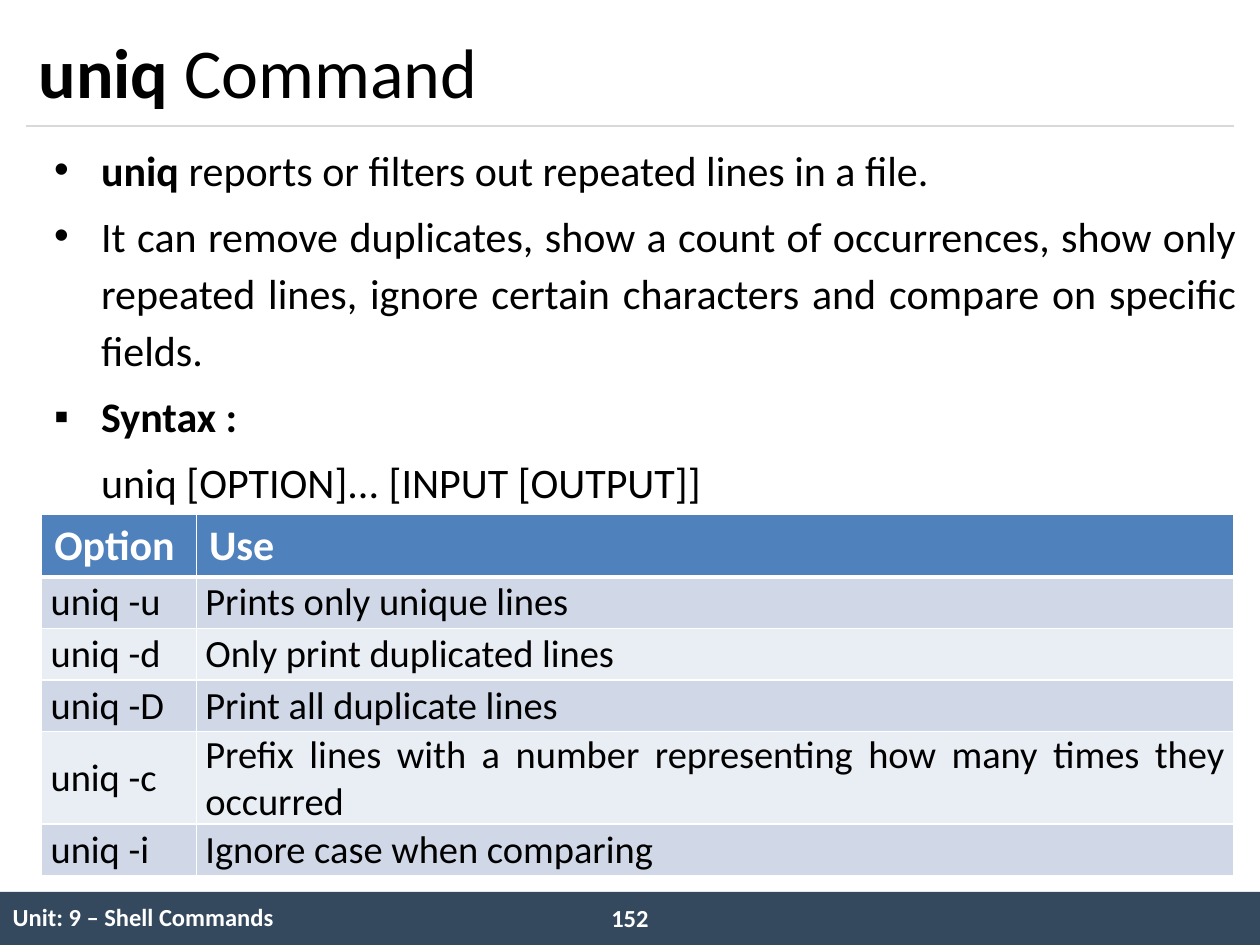
from lxml import etree
from pptx import Presentation
from pptx.dml.color import RGBColor
from pptx.enum.shapes import MSO_CONNECTOR, MSO_SHAPE
from pptx.enum.text import MSO_ANCHOR as ANCHOR, PP_ALIGN as ALIGN
from pptx.oxml.ns import qn
from pptx.util import Cm, Pt

WHITE = RGBColor(0xFF, 0xFF, 0xFF)
BLACK = RGBColor(0x00, 0x00, 0x00)
NAVY = RGBColor(0x34, 0x49, 0x5E)
RULE = RGBColor(0xD9, 0xD9, 0xD9)
HEADER = RGBColor(0x4F, 0x81, 0xBD)
BANDS = RGBColor(0xD0, 0xD8, 0xE8), RGBColor(0xE9, 0xED, 0xF4)

FONT = "Calibri"
INDENT = Cm(0.95)

BODY = [  # bullet, runs as (text, bold)
    ("•", [("uniq", True), (" reports or filters out repeated lines in a file.", False)]),
    ("•", [("It can remove duplicates, show a count of occurrences, show only "
            "repeated lines, ignore certain characters and compare on specific "
            "fields.", False)]),
    ("▪", [("Syntax :", True)]),
    (None, [("uniq [OPTION]... [INPUT [OUTPUT]]", False)]),
]

OPTIONS = [
    ("Option", "Use"),
    ("uniq -u", "Prints only unique lines"),
    ("uniq -d", "Only print duplicated lines"),
    ("uniq -D", "Print all duplicate lines"),
    ("uniq -c", "Prefix lines with a number representing how many times they occurred"),
    ("uniq -i", "Ignore case when comparing"),
]
ROW_HEIGHTS = [1.27, 1.04, 1.04, 1.04, 1.85, 1.04]


def write(p, runs, size=24, color=BLACK, align=ALIGN.LEFT):
    """Fill a paragraph with (text, bold) runs."""
    p.alignment = align
    for text, bold in runs:
        r = p.add_run()
        r.text = text
        r.font.name, r.font.size, r.font.bold = FONT, Pt(size), bold
        r.font.color.rgb = color


def add_textbox(s, x, y, w, h, anchor=ANCHOR.TOP):
    tf = s.shapes.add_textbox(Cm(x), Cm(y), Cm(w), Cm(h)).text_frame
    tf.word_wrap = True
    tf.vertical_anchor = anchor
    return tf


def set_bullet(p, char):
    pPr = p._p.get_or_add_pPr()
    pPr.set("marL", str(INDENT))
    pPr.set("indent", str(-INDENT if char else 0))
    if char:
        etree.SubElement(pPr, qn("a:buFont"), typeface="Arial")
        etree.SubElement(pPr, qn("a:buChar"), char=char)
    else:
        etree.SubElement(pPr, qn("a:buNone"))


def set_borders(cell, color=None, bottom=1):
    """Draw all four cell borders, or hide them when there is no colour."""
    tcPr = cell._tc.get_or_add_tcPr()
    for side in "LRTB":
        width = Pt(bottom if side == "B" else 1)
        ln = etree.SubElement(tcPr, qn("a:ln" + side), w=str(width))
        if color is None:
            etree.SubElement(ln, qn("a:noFill"))
        else:
            fill = etree.SubElement(ln, qn("a:solidFill"))
            etree.SubElement(fill, qn("a:srgbClr"), val=str(color))


def add_grid(s, x, y, widths, heights):
    table = s.shapes.add_table(len(heights), len(widths), Cm(x), Cm(y),
                               Cm(sum(widths)), Cm(sum(heights))).table
    table.first_row = table.horz_banding = False
    for column, width in zip(table.columns, widths):
        column.width = Cm(width)
    for row, height in zip(table.rows, heights):
        row.height = Cm(height)
    return table


def footer(s, x, y, w, h):
    # Band
    bar = s.shapes.add_shape(MSO_SHAPE.RECTANGLE, Cm(x), Cm(y), Cm(w), Cm(h))
    bar.shadow.inherit = False
    bar.fill.solid()
    bar.fill.fore_color.rgb = NAVY
    bar.line.fill.background()

    # Unit name
    table = add_grid(s, x, y, [12.9, 1.7, w - 14.6], [h])
    for cell in table.iter_cells():
        set_borders(cell)
        cell.fill.background()
        cell.vertical_anchor = ANCHOR.MIDDLE
    write(table.cell(0, 0).text_frame.paragraphs[0],
          [("Unit: 9 – Shell Commands", True)], size=14, color=WHITE)

    # Page number
    number_w = 1.48
    tf = add_textbox(s, x + (w - number_w) / 2, y + 0.1, number_w, 0.86)
    write(tf.paragraphs[0], [("152", True)], size=14, color=WHITE, align=ALIGN.CENTER)


def title(s, x, y, w, h):
    # Rule under the heading
    line = s.shapes.add_connector(MSO_CONNECTOR.STRAIGHT,
                                  Cm(x), Cm(y + h), Cm(x + w), Cm(y + h))
    line.line.color.rgb = RULE
    line.line.width = Pt(0.75)
    etree.SubElement(line._element.spPr, qn("a:effectLst"))

    tf = add_textbox(s, x, y, w, h, anchor=ANCHOR.MIDDLE)
    write(tf.paragraphs[0], [("uniq ", True), ("Command", False)], size=40)


def body(s, x, y, w, h):
    tf = add_textbox(s, x, y, w, h)
    for i, (bullet, runs) in enumerate(BODY):
        p = tf.add_paragraph() if i else tf.paragraphs[0]
        p.line_spacing = 1.14
        p.space_before = Pt(4.8 if i else 0)
        set_bullet(p, bullet)
        write(p, runs, align=ALIGN.JUSTIFY)


def option_table(s, x, y, w):
    option_w = 3.12
    table = add_grid(s, x, y, [option_w, w - option_w], ROW_HEIGHTS)
    table.first_row = True
    for i, row in enumerate(OPTIONS):
        head = i == 0
        for j, text in enumerate(row):
            cell = table.cell(i, j)
            set_borders(cell, WHITE, bottom=3 if head else 1)
            cell.fill.solid()
            cell.fill.fore_color.rgb = HEADER if head else BANDS[(i - 1) % 2]
            cell.vertical_anchor = ANCHOR.MIDDLE
            if not head:
                cell.margin_left = cell.margin_right = Cm(0.18)
                cell.margin_top = cell.margin_bottom = 0
            write(cell.text_frame.paragraphs[0], [(text, head)],
                  size=24 if head else 22, color=WHITE if head else BLACK,
                  align=ALIGN.LEFT if head and j == 0 else ALIGN.JUSTIFY)


def main():
    prs = Presentation()
    prs.slide_width, prs.slide_height = Cm(25.4), Cm(19.05)
    s = prs.slides.add_slide(prs.slide_layouts[6])
    footer(s, 0, 17.98, 25.4, 1.07)
    title(s, 0.53, 0.3, 24.34, 2.24)
    body(s, 0.84, 2.64, 24.34, 14.8)
    option_table(s, 0.84, 10.36, 24.03)
    prs.save("out.pptx")


if __name__ == "__main__":
    main()
